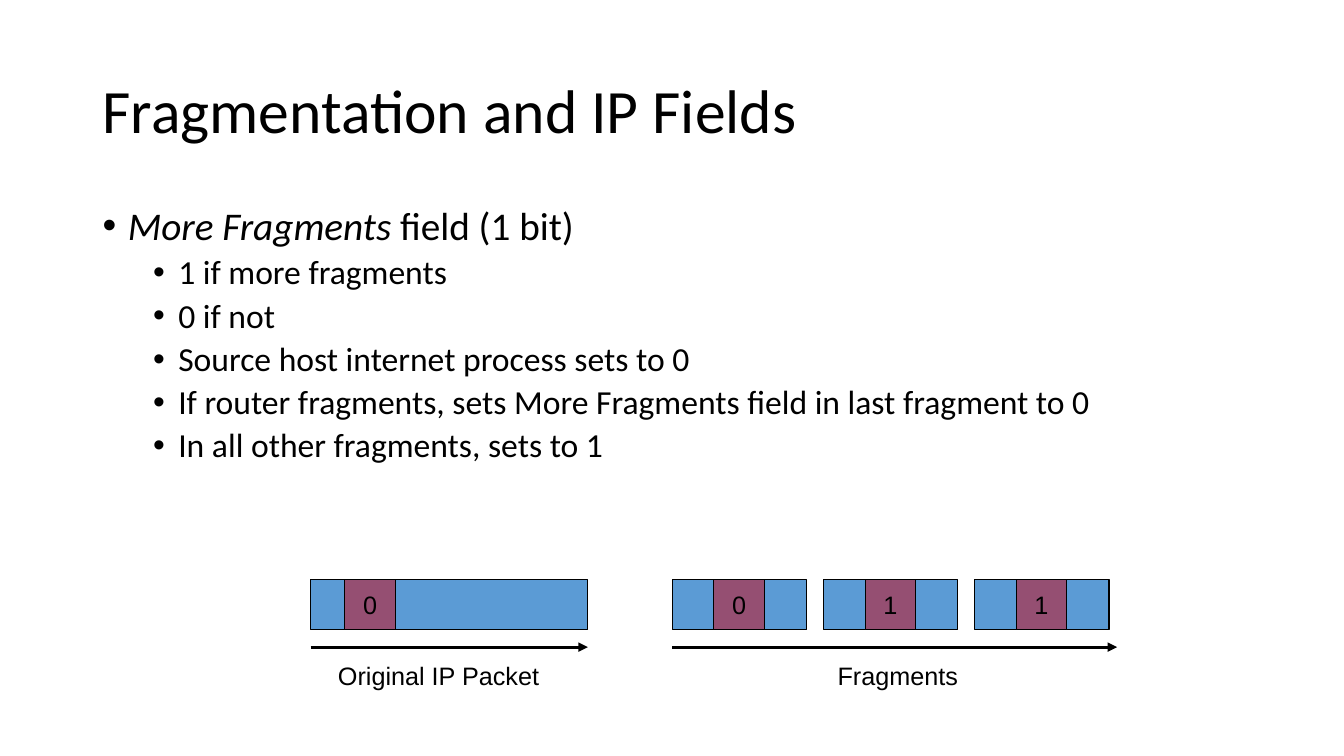
from pptx import Presentation
from pptx import util as u
from pptx.dml import color
from pptx.enum import shapes, text
from pptx.oxml import ns
from lxml import etree

TITLE = "Fragmentation and IP Fields"
FIELD = [("More Fragments", True), (" field (1 bit)", False)]
RULES = [
    "1 if more fragments",
    "0 if not",
    "Source host internet process sets to 0",
    "If router fragments, sets More Fragments field in last fragment to 0",
    "In all other fragments, sets to 1",
]
BULLETS = [(0, FIELD)] + [(1, [(rule, False)]) for rule in RULES]
LEVELS = [
    {"size": 28, "before": 10, "margin": 0.25},
    {"size": 24, "before": 5, "margin": 0.75},
]
GROUPS = [
    {"label": "Original IP Packet", "bits": "0", "left": 3.08, "width": 2.75,
     "bit_offset": 0.34, "arrow": 2.75, "label_box": (3.24, 2.22)},
    {"label": "Fragments", "bits": "011", "left": 6.67, "width": 1.33,
     "bit_offset": 0.41, "arrow": 4.41, "label_box": (8.2, 1.41)},
]
PITCH = 1.5
PACKET_TOP, PACKET_HEIGHT = 5.75, 0.5
ARROW_TOP, LABEL_TOP, LABEL_HEIGHT = 6.42, 6.5, 0.4
BLACK, PACKET_BLUE, BIT_PURPLE = "000000", "5B9BD5", "954F72"
LABEL_FONT = {"name": "Arial", "size": u.Pt(18)}
ANCHOR = text.MSO_ANCHOR


def paint(target, hex_code):
    target.rgb = color.RGBColor.from_string(hex_code)


def apply(target, **values):
    for name, value in values.items():
        setattr(target, name, value)


def write(paragraph, words, **font):
    run = paragraph.add_run()
    run.text = words
    apply(run.font, **font)
    paint(run.font.color, BLACK)


def add_frame(slide, box, **frame):
    words = slide.shapes.add_textbox(*map(u.Inches, box)).text_frame
    apply(words, **frame)
    return words


def add_block(slide, left, width, fill):
    block = slide.shapes.add_shape(
        shapes.MSO_SHAPE.RECTANGLE,
        *map(u.Inches, (left, PACKET_TOP, width, PACKET_HEIGHT)))
    block.shadow.inherit = False
    block.fill.solid()
    paint(block.fill.fore_color, fill)
    paint(block.line.color, BLACK)
    block.line.width = u.Pt(0.75)
    return block


def add_arrow(slide, left, length):
    arrow = slide.shapes.add_connector(
        shapes.MSO_CONNECTOR.STRAIGHT,
        *map(u.Inches, (left, ARROW_TOP, left + length, ARROW_TOP)))
    paint(arrow.line.color, BLACK)
    arrow.line.width = u.Pt(2.25)
    outline = arrow.line._get_or_add_ln()
    etree.SubElement(outline, ns.qn("a:tailEnd"), type="triangle")
    etree.SubElement(arrow._element.spPr, ns.qn("a:effectLst"))


def add_bullet(paragraph, level, pieces):
    style = LEVELS[level]
    apply(paragraph, level=level, line_spacing=0.9,
          space_before=u.Pt(style["before"]))
    properties = paragraph._p.get_or_add_pPr()
    properties.set("marL", str(u.Inches(style["margin"])))
    properties.set("indent", str(u.Inches(-0.25)))
    etree.SubElement(properties, ns.qn("a:buFont"), typeface="Arial")
    etree.SubElement(properties, ns.qn("a:buChar"), char="•")
    for words, italic in pieces:
        write(paragraph, words, name="Calibri", size=u.Pt(style["size"]),
              italic=italic)


def add_group(slide, group):
    for index, bit in enumerate(group["bits"]):
        left = group["left"] + index * PITCH
        add_block(slide, left, group["width"], PACKET_BLUE)
        field = add_block(slide, left + group["bit_offset"], PACKET_HEIGHT,
                          BIT_PURPLE).text_frame
        apply(field, word_wrap=False, vertical_anchor=ANCHOR.MIDDLE)
        field.paragraphs[0].alignment = text.PP_ALIGN.CENTER
        write(field.paragraphs[0], bit, **LABEL_FONT)
    add_arrow(slide, group["left"], group["arrow"])
    left, width = group["label_box"]
    label = add_frame(slide, (left, LABEL_TOP, width, LABEL_HEIGHT),
                      word_wrap=False,
                      auto_size=text.MSO_AUTO_SIZE.SHAPE_TO_FIT_TEXT)
    label.paragraphs[0].alignment = text.PP_ALIGN.CENTER
    write(label.paragraphs[0], group["label"], **LABEL_FONT)


def main():
    """Build the slide on the More Fragments field of IP packets."""
    deck = Presentation()
    apply(deck, slide_width=u.Inches(13.33), slide_height=u.Inches(7.5))
    slide = deck.slides.add_slide(deck.slide_layouts[6])

    title = add_frame(slide, (0.92, 0.4, 11.5, 1.45), word_wrap=True,
                      vertical_anchor=ANCHOR.MIDDLE)
    title.paragraphs[0].line_spacing = 0.9
    write(title.paragraphs[0], TITLE, name="Calibri", size=u.Pt(44))

    body = add_frame(slide, (0.92, 2, 11.5, 4.76), word_wrap=True)
    for index, (level, pieces) in enumerate(BULLETS):
        paragraph = body.add_paragraph() if index else body.paragraphs[0]
        add_bullet(paragraph, level, pieces)

    for group in GROUPS:
        add_group(slide, group)
    deck.save("out.pptx")


if __name__ == "__main__":
    main()
